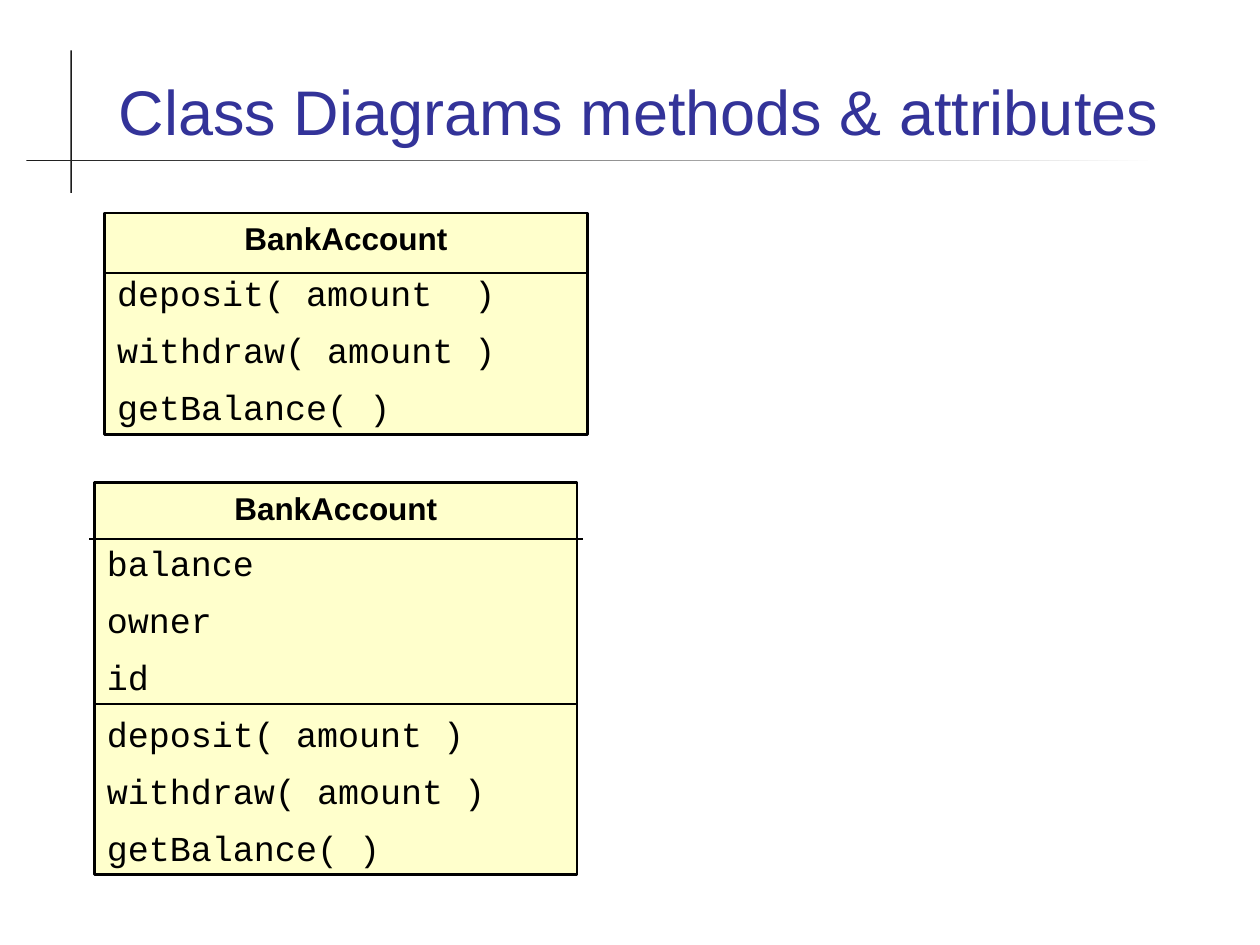
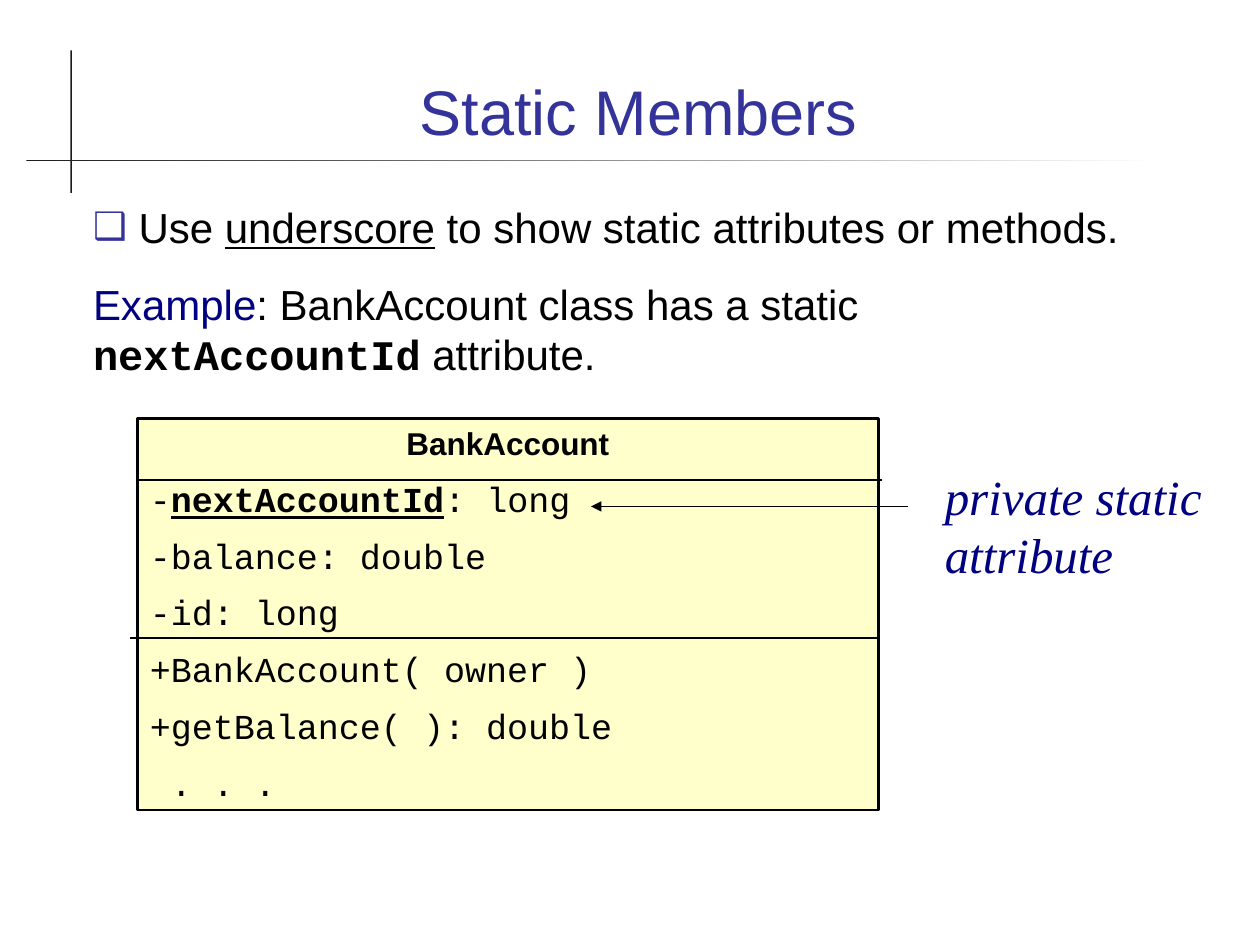
from dataclasses import dataclass

from lxml import etree
from pptx import Presentation
from pptx.dml.color import RGBColor
from pptx.enum.shapes import MSO_CONNECTOR, MSO_SHAPE
from pptx.enum.text import MSO_ANCHOR, MSO_AUTO_SIZE, PP_ALIGN
from pptx.oxml.ns import qn
from pptx.util import Pt

RECTANGLE = MSO_SHAPE.RECTANGLE
STRAIGHT = MSO_CONNECTOR.STRAIGHT
TOP, BOTTOM = MSO_ANCHOR.TOP, MSO_ANCHOR.BOTTOM
LEFT, CENTER = PP_ALIGN.LEFT, PP_ALIGN.CENTER
GROW = MSO_AUTO_SIZE.SHAPE_TO_FIT_TEXT


@dataclass(frozen=True)
class Theme:
    title: str = "333399"
    accent: str = "000080"
    text: str = "000000"
    rule: str = "1C1C1C"
    paper: str = "FFFFFF"
    class_fill: str = "FFFFCC"
    sans: str = "Arial"
    mono: str = "Courier New"
    serif: str = "Times New Roman"
    title_size: int = 36
    body_size: int = 24
    class_size: int = 18
    member_size: int = 20
    note_size: int = 28


THEME = Theme()
STYLES = {
    "title": {"name": THEME.sans, "size": THEME.title_size, "color": THEME.title},
    "body": {"name": THEME.sans, "size": THEME.body_size, "color": THEME.text},
    "class": {"name": THEME.sans, "size": THEME.class_size, "color": THEME.text, "bold": True},
    "member": {"name": THEME.mono, "size": THEME.member_size, "color": THEME.text},
    "note": {"name": THEME.serif, "size": THEME.note_size, "color": THEME.accent, "italic": True},
}

SLIDES = [
    {
        "title": "Class Diagrams methods & attributes",
        "classes": [
            {
                "name": "BankAccount",
                "box": (59.8, 121.7, 275.8, 126.7),
                "members": ["deposit( amount  )", "withdraw( amount )", "getBalance( )"],
                "dividers": [(59.8, 336.2, 156.2)],
            },
            {
                "name": "BankAccount",
                "box": (54, 275.8, 275.8, 223.9),
                "members": ["balance", "owner", "id",
                            "deposit( amount )", "withdraw( amount )", "getBalance( )"],
                "dividers": [(51.1, 333.4, 308.2), (54, 329.8, 402.1)],
            },
        ],
    },
    {
        "title": "Static Members",
        "body": [
            ["Use ", ("underscore", {"underline": True}),
             " to show static attributes or methods."],
            [("Example", {"color": THEME.accent}), ": BankAccount class has a static ",
             ("nextAccountId", {"name": THEME.mono, "bold": True}), " attribute."],
        ],
        "classes": [
            {
                "name": "BankAccount",
                "box": (78.5, 239, 423.4, 223.9),
                "members": [
                    ["-", ("nextAccountId", {"bold": True, "underline": True}), ": long"],
                    "-balance: double", "-id: long",
                    "+BankAccount( owner )", "+getBalance( ): double", " . . .",
                ],
                "dividers": [(77.8, 504, 274.3), (74.2, 501.4, 364.7)],
            },
        ],
        "note": "private static attribute",
    },
]

TITLE_BOX = (48.2, 19.7, 623.5, 68.4)
TITLE_SHIFT = 10
BODY_BOX = (46.1, 111.6, 623.5, 147.6)
NOTE_BOX = (532.8, 262.8, 165.6, 74.2)
NOTE_ARROW = (519.1, 289.4, 337.7, 289.4)
VERTICAL_RULE = (40.2, 28.8, 0.9, 81.4)
HORIZONTAL_RULE = (15.1, 91.4, 646.6, 0.8)
BULLET_INDENT = 26
BODY_GAP = 15
MEMBER_GAP = 8.5


def color(value):
    return RGBColor.from_string(value)


def points(values):
    return [Pt(value) for value in values]


def apply_style(font, style):
    for name, value in style.items():
        if name == "color":
            font.color.rgb = color(value)
        else:
            setattr(font, name, Pt(value) if name == "size" else value)


def write_paragraph(frame, runs, style, first=False, gap=0, align=LEFT):
    paragraph = frame.paragraphs[0] if first else frame.add_paragraph()
    paragraph.alignment = align
    paragraph.space_before = Pt(0 if first else gap)
    for item in [runs] if isinstance(runs, str) else runs:
        text, changes = (item, {}) if isinstance(item, str) else item
        run = paragraph.add_run()
        run.text = text
        apply_style(run.font, {**STYLES[style], **changes})
    return paragraph


def add_text_box(slide, box, anchor=TOP):
    frame = slide.shapes.add_textbox(*points(box)).text_frame
    frame.word_wrap = True
    frame.vertical_anchor = anchor
    return frame


def add_rectangle(slide, box):
    shape = slide.shapes.add_shape(RECTANGLE, *points(box))
    shape.shadow.inherit = False
    return shape


def add_line(slide, ends, width, arrow=False):
    connector = slide.shapes.add_connector(STRAIGHT, *points(ends))
    connector.line.color.rgb = color(THEME.text)
    connector.line.width = Pt(width)
    if arrow:
        line = connector.line._get_or_add_ln()
        etree.SubElement(line, qn("a:tailEnd"), type="triangle")
    etree.SubElement(connector._element.spPr, qn("a:effectLst"))


def add_bullet(paragraph):
    properties = paragraph._p.get_or_add_pPr()
    properties.set("marL", str(Pt(BULLET_INDENT)))
    properties.set("indent", str(-Pt(BULLET_INDENT)))
    bullet_color = etree.SubElement(properties, qn("a:buClr"))
    etree.SubElement(bullet_color, qn("a:srgbClr"), val=THEME.title)
    etree.SubElement(properties, qn("a:buSzPct"), val="90000")
    etree.SubElement(properties, qn("a:buFont"), typeface=THEME.sans)
    etree.SubElement(properties, qn("a:buChar"), char="❑")


def add_frame(slide, title):
    vertical = add_rectangle(slide, VERTICAL_RULE)
    vertical.fill.solid()
    vertical.fill.fore_color.rgb = color(THEME.rule)
    horizontal = add_rectangle(slide, HORIZONTAL_RULE)
    horizontal.fill.gradient()
    horizontal.fill.gradient_angle = 0
    for stop, value in zip(horizontal.fill.gradient_stops, (THEME.rule, THEME.paper)):
        stop.color.rgb = color(value)
    for rule in (vertical, horizontal):
        rule.line.fill.background()
    frame = add_text_box(slide, TITLE_BOX, BOTTOM)
    frame.margin_left += Pt(TITLE_SHIFT)
    write_paragraph(frame, title, "title", first=True, align=CENTER)


def add_body(slide, paragraphs):
    frame = add_text_box(slide, BODY_BOX)
    for index, runs in enumerate(paragraphs):
        paragraph = write_paragraph(frame, runs, "body", index == 0, BODY_GAP)
        if index == 0:
            add_bullet(paragraph)


def add_class(slide, diagram):
    shape = add_rectangle(slide, diagram["box"])
    shape.fill.solid()
    shape.fill.fore_color.rgb = color(THEME.class_fill)
    shape.line.color.rgb = color(THEME.text)
    shape.line.width = Pt(1.5)
    frame = shape.text_frame
    frame.word_wrap = True
    frame.auto_size = GROW
    frame.vertical_anchor = TOP
    write_paragraph(frame, diagram["name"], "class", first=True, align=CENTER)
    for member in diagram["members"]:
        write_paragraph(frame, member, "member", gap=MEMBER_GAP)
    for start, end, height in diagram["dividers"]:
        add_line(slide, (start, height, end, height), 1)


def add_note(slide, text):
    write_paragraph(add_text_box(slide, NOTE_BOX), text, "note", first=True)
    add_line(slide, NOTE_ARROW, 0.75, arrow=True)


def main():
    presentation = Presentation()
    presentation.slide_width, presentation.slide_height = Pt(720), Pt(540)
    for content in SLIDES:
        slide = presentation.slides.add_slide(presentation.slide_layouts[6])
        add_frame(slide, content["title"])
        if "body" in content:
            add_body(slide, content["body"])
        for diagram in content["classes"]:
            add_class(slide, diagram)
        if "note" in content:
            add_note(slide, content["note"])
    presentation.save("out.pptx")


if __name__ == "__main__":
    main()
